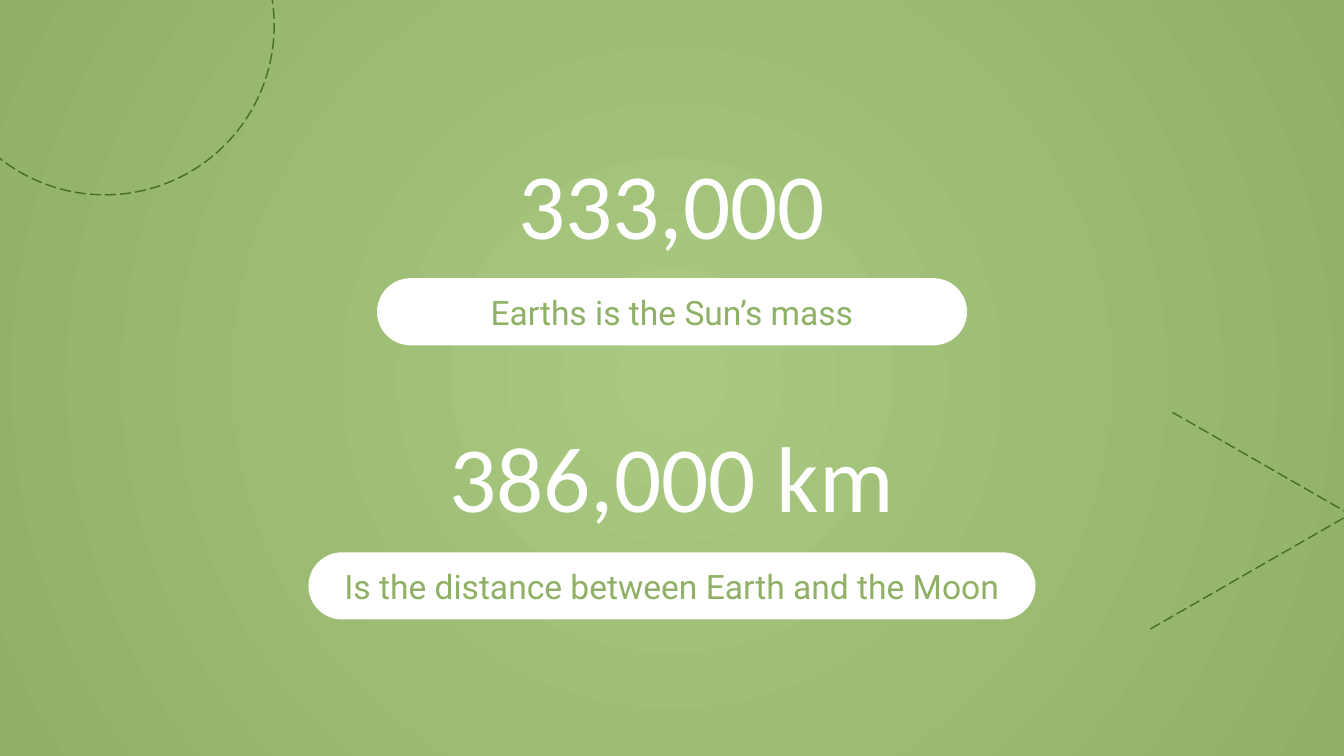
from lxml import etree
from pptx import Presentation
from pptx.dml.color import RGBColor
from pptx.enum import dml, shapes, text
from pptx.oxml import ns
from pptx.util import Inches, Pt

WHITE = RGBColor(0xFF, 0xFF, 0xFF)
LIGHT_GREEN = RGBColor(0xAA, 0xC9, 0x81)
GREEN = RGBColor(0x8F, 0xB0, 0x65)
DARK_GREEN = RGBColor(0x49, 0x6D, 0x1C)

SLIDE_W = 10
SLIDE_H = SLIDE_W * 9 / 16
FIGURE_W, FIGURE_H = 5.56, 0.91
CAPTION_H = 0.5

# figure, figure top, caption, caption top, caption width
FACTS = [
    ("333,000", 1.05, "Earths is the Sun’s mass", 2.07, 4.39),
    ("386,000 km", 3.08, "Is the distance between Earth and the Moon", 4.11, 5.41),
]
CIRCLE = (-0.48, -1.07, 2.52, 2.52)
CROSSING_LINES = [(8.56, 4.68, 11.38, 3.06), (11.53, 4.68, 8.71, 3.06)]


def paint_background(slide):
    fill = slide.background.fill
    fill.gradient()
    for stop, color, position in zip(fill.gradient_stops, (LIGHT_GREEN, GREEN), (0, 1)):
        stop.color.rgb = color
        stop.position = position
    # Turn the linear gradient into a radial one around the slide centre
    linear = slide.background._cSld.find(".//" + ns.qn("a:lin"))
    radial = etree.Element(ns.qn("a:path"), path="circle")
    etree.SubElement(radial, ns.qn("a:fillToRect"),
                     l="50000", t="50000", r="50000", b="50000")
    linear.getparent().replace(linear, radial)


def dash(line):
    line.color.rgb = DARK_GREEN
    line.width = Pt(0.75)
    line.dash_style = dml.MSO_LINE.LONG_DASH


def place_centred(shape, top, width, height):
    shape.left, shape.top = Inches((SLIDE_W - width) / 2), Inches(top)
    shape.width, shape.height = Inches(width), Inches(height)


def write(shape, words, font_name, size, color):
    frame = shape.text_frame
    frame.word_wrap = True
    frame.auto_size = text.MSO_AUTO_SIZE.NONE
    frame.vertical_anchor = text.MSO_ANCHOR.MIDDLE
    frame.margin_left = frame.margin_right = Inches(0.1)
    frame.margin_top = frame.margin_bottom = Inches(0.1)
    paragraph = frame.paragraphs[0]
    paragraph.alignment = text.PP_ALIGN.CENTER
    paragraph.space_before = Pt(0)
    run = paragraph.add_run()
    run.text = words
    run.font.name = font_name
    run.font.size = Pt(size)
    run.font.bold = False
    run.font.color.rgb = color


def main():
    deck = Presentation()
    deck.slide_width, deck.slide_height = Inches(SLIDE_W), Inches(SLIDE_H)
    section_header = deck.slide_layouts[2]
    slide = deck.slides.add_slide(section_header)
    paint_background(slide)

    circle = slide.shapes.add_shape(shapes.MSO_SHAPE.OVAL, *map(Inches, CIRCLE))
    circle.shadow.inherit = False
    circle.fill.background()
    dash(circle.line)
    for ends in CROSSING_LINES:
        crossing = slide.shapes.add_connector(
            shapes.MSO_CONNECTOR.STRAIGHT, *map(Inches, ends))
        dash(crossing.line)
        etree.SubElement(crossing._element.spPr, ns.qn("a:effectLst"))

    for figure_box, fact in zip(slide.placeholders, FACTS):
        figure, figure_top, caption, caption_top, caption_width = fact
        place_centred(figure_box, figure_top, FIGURE_W, FIGURE_H)
        write(figure_box, figure, "Calibri", 50, WHITE)

        pill = slide.shapes.add_shape(shapes.MSO_SHAPE.ROUNDED_RECTANGLE, 0, 0, 0, 0)
        place_centred(pill, caption_top, caption_width, CAPTION_H)
        pill.adjustments[0] = 0.5
        pill.shadow.inherit = False
        pill.fill.solid()
        pill.fill.fore_color.rgb = WHITE
        pill.line.fill.background()
        write(pill, caption, "Roboto", 18, GREEN)

    deck.save("out.pptx")


if __name__ == "__main__":
    main()
